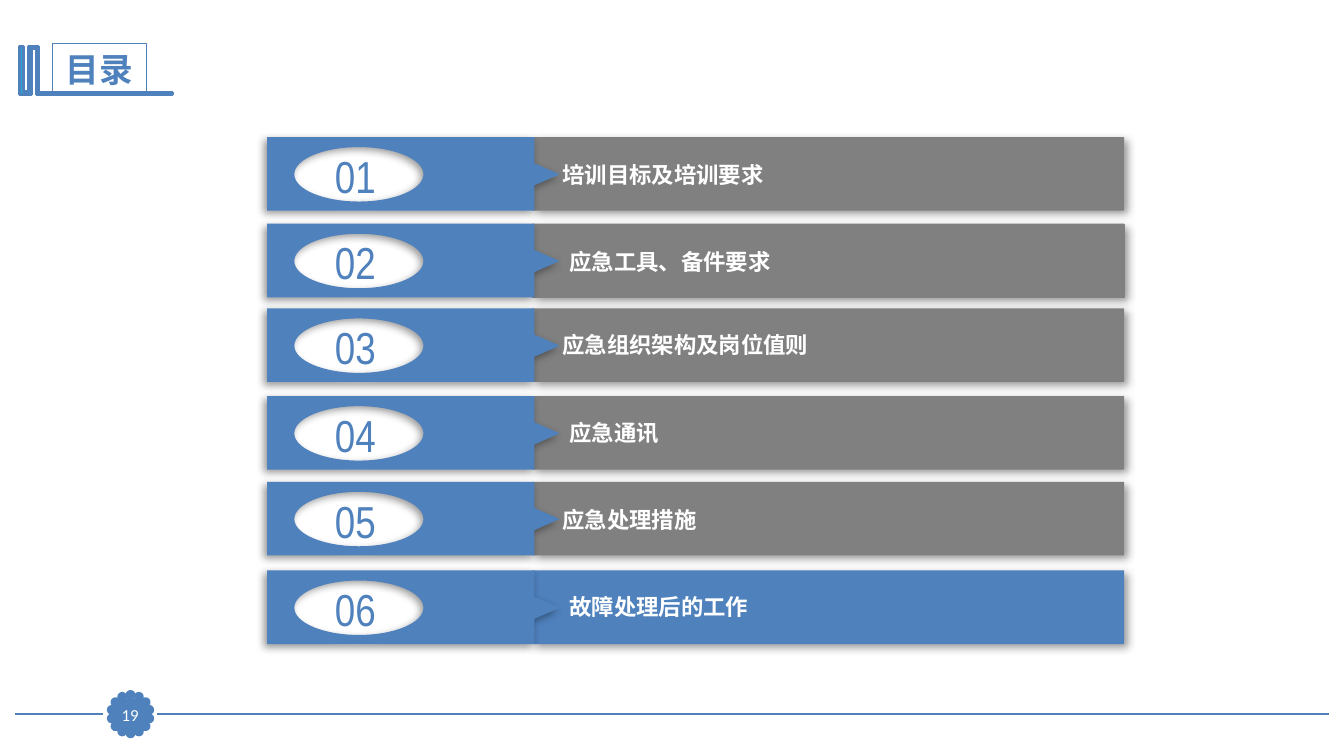
"""Build the contents slide with six numbered banners and a page badge."""
import math

from lxml import etree
from pptx import Presentation
from pptx import util as u
from pptx.dml.color import RGBColor
from pptx.enum import shapes, text
from pptx.oxml.ns import qn

COLORS = {"blue": "4F81BD", "gray": "808080", "sky": "28A9D6", "white": "FFFFFF", "black": "000000"}
PX = 9144
SLIDE_SIZE = (1333, 750)
TITLE = "目录"
PAGE = "19"

# number, title, top, title left, title top, bar colour, bar outline width
SECTIONS = [
    ("01", "培训目标及培训要求", 136, 548, 155, "gray", 0),
    ("02", "应急工具、备件要求", 222, 555, 241, "gray", 0.25),
    ("03", "应急组织架构及岗位值则", 306, 548, 324, "gray", 0),
    ("04", "应急通讯", 393, 555, 411, "gray", 0),
    ("05", "应急处理措施", 478, 548, 497, "gray", 0),
    ("06", "故障处理后的工作", 566, 555, 584, "blue", 0),
]
BAR_LEFT, BAR_WIDTH, BAR_HEIGHT = 528, 587, 73
TAG_OUTLINE = [(265, 0), (530, 0), (530, 26), (555, 37), (530, 48), (530, 73), (265, 73)]
HOLE_CURVES = [
    (356, 10), (321, 10), (292, 22), (292, 37), (292, 52), (321, 64), (356, 64),
    (391, 64), (420, 52), (420, 37), (420, 22), (391, 10), (356, 10),
]
BOOKMARK = [
    (37, 46), (38, 46), (38, 92), (171, 92), (171, 94), (36, 94), (36, 48), (31, 48),
    (31, 94), (19, 94), (19, 46), (23, 46), (23, 91), (28, 91), (28, 46),
]
FOOTER_LINES = [(1318, 156), (102, 15)]
FOOTER_Y = 708
BADGE_CENTER, BADGE_RADIUS, PETALS, PETAL_SIZE = (129.5, 708.5), 19, 14, 7


def px(value):
    return u.Emu(round(value * PX))


def color(name):
    return RGBColor.from_string(COLORS[name])


def style(shape, fill=None, line=None, width=0):
    shape.shadow.inherit = False
    if fill:
        shape.fill.solid()
        shape.fill.fore_color.rgb = color(fill)
    else:
        shape.fill.background()
    if line:
        shape.line.color.rgb = color(line)
        shape.line.width = u.Pt(width)
    else:
        shape.line.fill.background()
    return shape


def cast_shadow(shape, angle):
    effects = shape.element.spPr.find(qn("a:effectLst"))
    shadow = etree.SubElement(
        effects, qn("a:outerShdw"), blurRad=str(u.Pt(6)), dist=str(u.Pt(3)),
        dir=str(angle * 60000), algn="ctr", rotWithShape="0")
    tint = etree.SubElement(shadow, qn("a:srgbClr"), val=COLORS["black"])
    etree.SubElement(tint, qn("a:alpha"), val="40000")


def add_preset(parent, kind, box, **look):
    return style(parent.shapes.add_shape(kind, *map(px, box)), **look)


def add_outline(parent, contours, **look):
    contours = [[(px(x), px(y)) for x, y in contour] for contour in contours]
    builder = parent.shapes.build_freeform(*contours[0][0])
    for index, contour in enumerate(contours):
        if index:
            builder.move_to(*contour[0])
        builder.add_line_segments(contour[1:], close=True)
    return style(builder.convert_to_shape(), **look)


def bend_segments(shape, count):
    """Merge each three of the first line segments into one cubic curve."""
    segments = list(shape.element.iter(qn("a:lnTo")))[:count]
    for start in range(0, count, 3):
        curve = etree.Element(qn("a:cubicBezTo"))
        segments[start].addprevious(curve)
        for segment in segments[start:start + 3]:
            curve.append(segment[0])
            segment.getparent().remove(segment)


def write(shape, words, size, font, ink, bold=False, align=text.PP_ALIGN.CENTER,
          anchor=text.MSO_ANCHOR.MIDDLE, grow=True):
    frame = shape.text_frame
    frame.word_wrap = True
    frame.vertical_anchor = anchor
    if grow:
        frame.auto_size = text.MSO_AUTO_SIZE.SHAPE_TO_FIT_TEXT
    else:
        frame.margin_left = frame.margin_right = frame.margin_top = frame.margin_bottom = 0
    paragraph = frame.paragraphs[0]
    paragraph.text = words
    paragraph.alignment = align
    paragraph.font.size = u.Pt(size)
    paragraph.font.name = font
    paragraph.font.bold = bold
    paragraph.font.color.rgb = color(ink)


def add_footer(slide):
    for start, end in FOOTER_LINES:
        rule = slide.shapes.add_connector(
            shapes.MSO_CONNECTOR.STRAIGHT, px(start), px(FOOTER_Y), px(end), px(FOOTER_Y))
        rule.line.color.rgb = color("blue")
        rule.line.width = u.Pt(1.25)
        etree.SubElement(rule.element.spPr, qn("a:effectLst"))
    flower = slide.shapes.add_group_shape()
    for petal in range(PETALS):
        angle = 2 * math.pi * petal / PETALS
        left = BADGE_CENTER[0] + BADGE_RADIUS * math.sin(angle) - PETAL_SIZE / 2
        top = BADGE_CENTER[1] - BADGE_RADIUS * math.cos(angle) - PETAL_SIZE / 2
        add_preset(flower, shapes.MSO_SHAPE.OVAL, (left, top, PETAL_SIZE, PETAL_SIZE),
                   fill="blue", line="blue", width=2)


def add_heading(slide):
    add_outline(slide, [BOOKMARK], fill="sky", line="blue", width=2)
    heading = add_preset(slide, shapes.MSO_SHAPE.RECTANGLE, (52, 43, 93, 51),
                         line="blue", width=0.75)
    write(heading, TITLE, 24, "Arial Narrow", "blue", bold=True)


def add_page_number(slide):
    badge = add_preset(slide, shapes.MSO_SHAPE.RECTANGLE, (113, 694, 32, 31),
                       fill="blue", line="blue", width=0.75)
    write(badge, PAGE, 12, "Calibri", "white", grow=False)


def add_section(group, number, title, top, title_left, title_top, fill, outline):
    bar = add_preset(group, shapes.MSO_SHAPE.RECTANGLE, (BAR_LEFT, top, BAR_WIDTH, BAR_HEIGHT),
                     fill=fill, line=fill if outline else None, width=outline)
    cast_shadow(bar, 45)
    contours = [[(x, top + y) for x, y in contour] for contour in (HOLE_CURVES, TAG_OUTLINE)]
    tag = add_outline(group, contours, fill="blue")
    bend_segments(tag, len(HOLE_CURVES) - 1)
    cast_shadow(tag, 135)
    number_box = group.shapes.add_textbox(*map(px, (306, top + 6, 93, 64)))
    write(number_box, number, 32, "Arial Narrow", "blue")
    title_box = group.shapes.add_textbox(*map(px, (title_left, title_top, 561, 37)))
    write(title_box, title, 16, "Calibri", "white", bold=True,
          align=text.PP_ALIGN.LEFT, anchor=text.MSO_ANCHOR.TOP)


def main():
    presentation = Presentation()
    presentation.slide_width, presentation.slide_height = map(px, SLIDE_SIZE)
    slide = presentation.slides.add_slide(presentation.slide_layouts[6])
    add_footer(slide)
    add_heading(slide)
    add_page_number(slide)
    contents = slide.shapes.add_group_shape()
    for section in SECTIONS:
        add_section(contents, *section)
    presentation.save("out.pptx")


if __name__ == "__main__":
    main()
